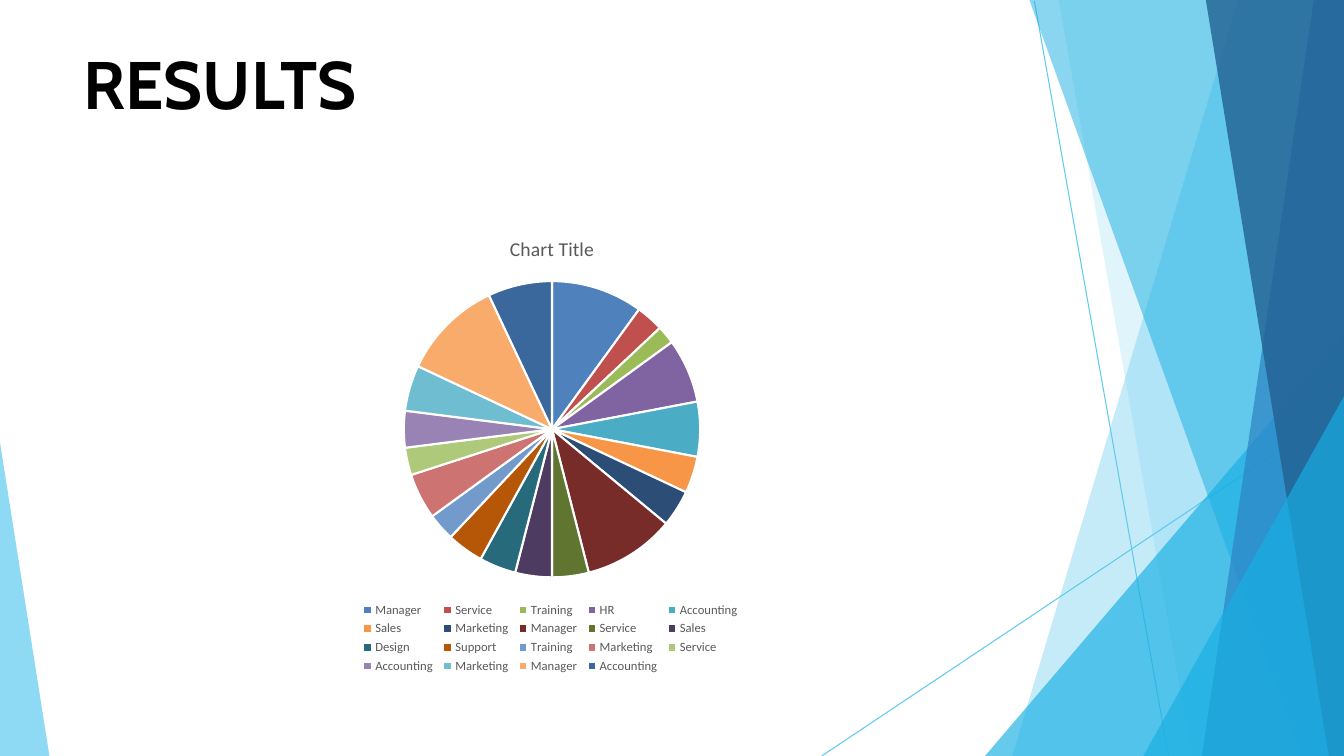
import pptx
import pptx.chart.data
import pptx.dml.color
import pptx.enum.chart
import pptx.enum.text
import pptx.oxml
import pptx.oxml.ns
import pptx.util
from dataclasses import dataclass

COLS, ROWS = 1333, 750
UNIT = pptx.util.Inches(0.01)


@dataclass(frozen=True)
class Theme:
    sky: str = "5FCAEE"
    aqua: str = "17AFE3"
    blue: str = "2D83C3"
    navy: str = "226192"
    ink: str = "000000"
    gray: str = "595959"
    white: str = "FFFFFF"
    head: str = "Cabin"
    body: str = "Calibri"
    big: int = 48
    mid: int = 14
    base: int = 10
    small: int = 9
    hair: float = 0.75
    edge: float = 1.5


THEME = Theme()

RAYS = [
    [(1026, 1), (1159, ROWS)],
    [(COLS, 404), (815, ROWS)],
]
BANDS = [
    (THEME.sky, 36, [(COLS, 0), (1228, 0), (1004, ROWS), (COLS, ROWS)]),
    (THEME.sky, 20, [(COLS, 0), (1050, 0), (1182, ROWS), (COLS, ROWS)]),
    (THEME.aqua, 66, [(COLS, 333), (977, ROWS), (COLS, ROWS)]),
    (THEME.aqua, 50, [(COLS, 0), (1021, 0), (1291, ROWS), (COLS, ROWS)]),
    (THEME.blue, 70, [(COLS, 0), (1303, 0), (1192, ROWS), (COLS, ROWS)]),
    (THEME.navy, 80, [(COLS, 0), (1196, 0), (1318, ROWS), (COLS, ROWS)]),
    (THEME.aqua, 66, [(COLS, 393), (1134, ROWS), (COLS, ROWS)]),
    (THEME.sky, 70, [(0, 439), (0, ROWS), (49, ROWS)]),
]
SLICES = [
    ("Manager ", 10, "4F81BD"),
    ("Service ", 3, "C0504D"),
    ("Training ", 2, "9BBB59"),
    ("HR", 7, "8064A2"),
    ("Accounting ", 6, "4BACC6"),
    ("Sales", 4, "F79646"),
    ("Marketing ", 4, "2C4D75"),
    ("Manager ", 10, "772C2A"),
    ("Service ", 4, "5F7530"),
    ("Sales", 4, "4D3B62"),
    ("Design ", 4, "276A7C"),
    ("Support ", 4, "B65708"),
    ("Training ", 3, "729ACA"),
    ("Marketing ", 5, "CD7371"),
    ("Service ", 3, "AFC97A"),
    ("Accounting ", 4, "9983B5"),
    ("Marketing ", 5, "6FBDD1"),
    ("Manager ", 11, "F9AB6B"),
    ("Accounting ", 7, "3A679C"),
]


def rgb(tone):
    return pptx.dml.color.RGBColor.from_string(tone)


def style(font, face, size, tone, bold=False):
    font.name = face
    font.size = pptx.util.Pt(size)
    font.color.rgb = rgb(tone)
    font.bold = bold


def paint(fill, tone, alpha=100):
    fill.solid()
    fill.fore_color.rgb = rgb(tone)
    if alpha < 100:
        node = fill._xPr.find(".//" + pptx.oxml.ns.qn("a:srgbClr"))
        node.append(pptx.oxml.parse_xml(
            f'<a:alpha {pptx.oxml.ns.nsdecls("a")} val="{alpha * 1000}"/>'))


def trace(slide, box, points, close):
    left, top, wide, high = box
    spots = [(left + x * wide / COLS, top + y * high / ROWS) for x, y in points]
    pen = slide.shapes.build_freeform(*spots[0], scale=UNIT)
    pen.add_line_segments(spots[1:], close=close)
    shape = pen.convert_to_shape()
    shape.shadow.inherit = False
    return shape


def add_decor(slide, box):
    for points in RAYS:
        ray = trace(slide, box, points, False)
        ray.fill.background()
        ray.line.color.rgb = rgb(THEME.sky)
        ray.line.width = pptx.util.Pt(THEME.hair)
    for tone, alpha, points in BANDS:
        band = trace(slide, box, points, True)
        paint(band.fill, tone, alpha)
        band.line.fill.background()


def add_title(slide, box, text):
    frame = slide.shapes.add_textbox(*(n * UNIT for n in box)).text_frame
    frame.word_wrap = True
    frame.margin_left = frame.margin_right = 0
    frame.margin_top = frame.margin_bottom = 0
    frame.vertical_anchor = pptx.enum.text.MSO_ANCHOR.TOP
    line = frame.paragraphs[0]
    line.text = text
    style(line.font, THEME.head, THEME.big, THEME.ink, True)


def add_pie(slide, box, title):
    names, values, tones = zip(*SLICES)
    data = pptx.chart.data.CategoryChartData()
    data.categories = names
    data.add_series("Series 1", values)
    chart = slide.shapes.add_chart(
        pptx.enum.chart.XL_CHART_TYPE.PIE, *(n * UNIT for n in box), data).chart
    style(chart.font, THEME.body, THEME.base, THEME.ink)
    chart.has_title = True
    head = chart.chart_title.text_frame.paragraphs[0]
    head.text = title
    style(head.font, THEME.body, THEME.mid, THEME.gray)
    chart.has_legend = True
    chart.legend.position = pptx.enum.chart.XL_LEGEND_POSITION.BOTTOM
    chart.legend.include_in_layout = False
    style(chart.legend.font, THEME.body, THEME.small, THEME.gray)
    plot = chart.plots[0]
    plot.vary_by_categories = True
    for index, tone in enumerate(tones):
        part = plot.series[0].points[index].format
        paint(part.fill, tone)
        part.line.color.rgb = rgb(THEME.white)
        part.line.width = pptx.util.Pt(THEME.edge)


def main():
    deck = pptx.Presentation()
    deck.slide_width, deck.slide_height = COLS * UNIT, ROWS * UNIT
    slide = deck.slides.add_slide(deck.slide_layouts[6])
    paint(slide.background.fill, THEME.white)
    add_decor(slide, (0, 0, COLS, ROWS))
    add_title(slide, (83, 42, 1168, 83), "RESULTS")
    add_pie(slide, (268, 215, 559, 457), "Chart Title")
    deck.save("out.pptx")


if __name__ == "__main__":
    main()
